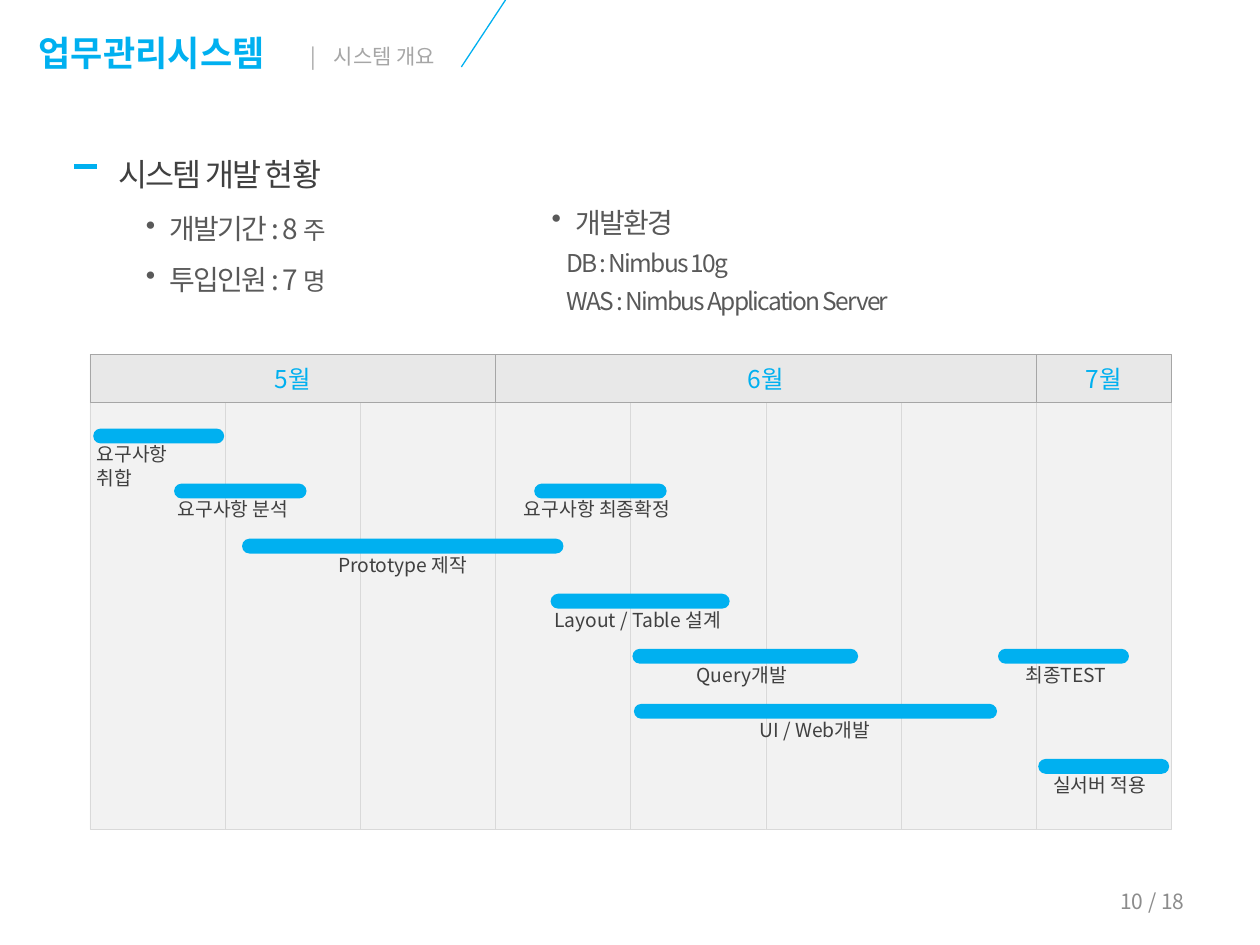
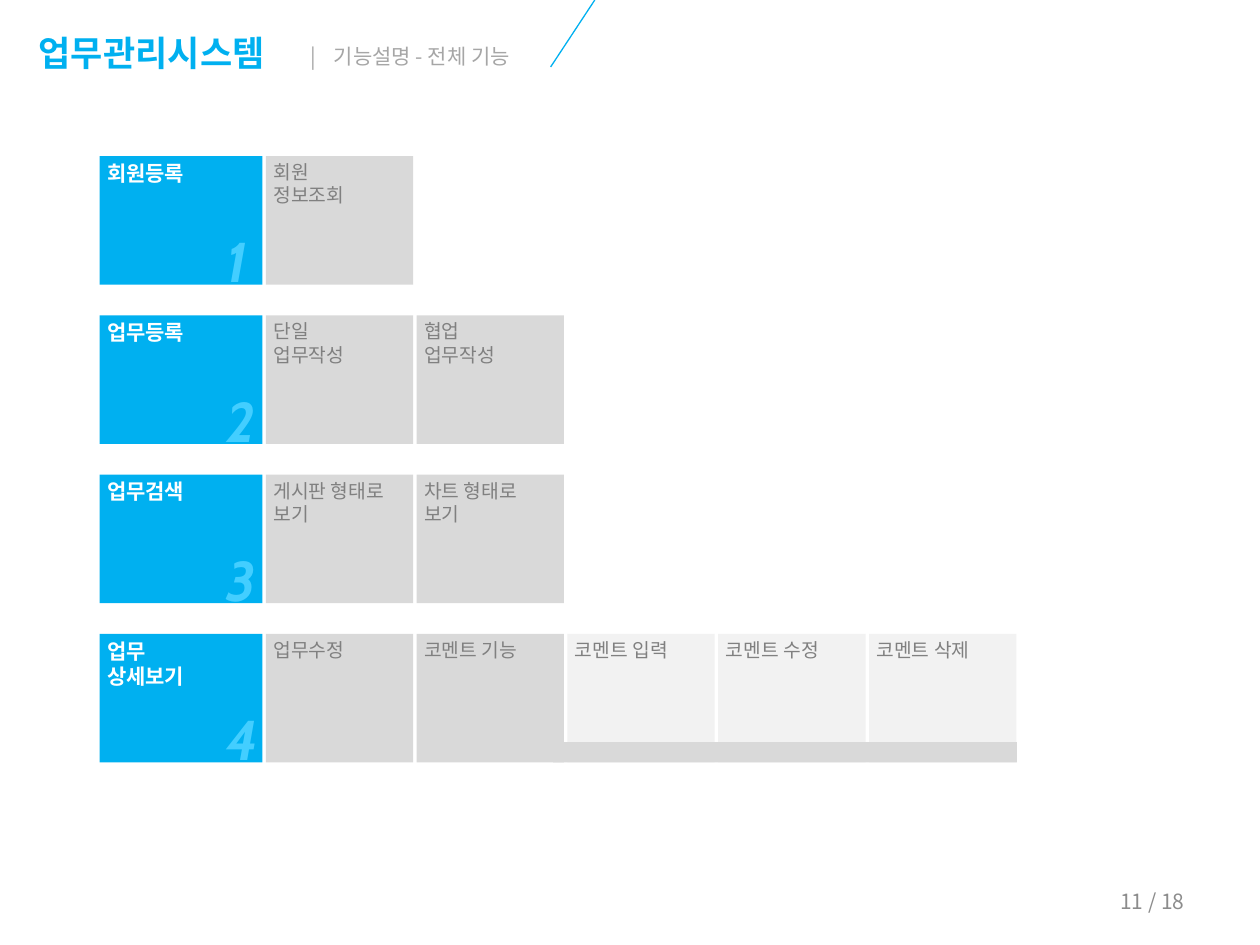
from copy import deepcopy

from lxml.etree import SubElement
from pptx import Presentation
from pptx.dml.color import RGBColor
from pptx.enum.shapes import MSO_CONNECTOR as LineKind, MSO_SHAPE as Kind
from pptx.enum.text import MSO_ANCHOR as Anchor, PP_ALIGN as Align
from pptx.oxml.ns import qn
from pptx.util import Cm, Pt

COLOURS = {
    "accent": "00B0F0", "number": "43CEFF", "white": "FFFFFF",
    "dark": "404040", "body": "595959", "label": "808080",
    "footer": "8C8C8C", "muted": "A6A6A6", "card": "D9D9D9",
    "month": "E8E8E8", "pale": "F2F2F2",
}
SANS, DISPLAY = "Noto Sans CJK KR", "Cabin"
COLOURS = {name: RGBColor.from_string(code) for name, code in COLOURS.items()}


def add_block(page, kind, left, top, width, height, fill, line=None):
    block = page.shapes.add_shape(kind, Cm(left), Cm(top), Cm(width), Cm(height))
    block.shadow.inherit = False
    block.fill.solid()
    block.fill.fore_color.rgb = COLOURS[fill]
    if line:
        block.line.color.rgb = COLOURS[line]
        block.line.width = Pt(0.1)
    else:
        block.line.fill.background()
    return block


def add_text(page, left, top, width, height, text, size, colour, font=SANS,
             bold=False, italic=False, align=Align.LEFT, anchor=Anchor.TOP,
             leading=None, tracking=0):
    box = page.shapes.add_textbox(Cm(left), Cm(top), Cm(width), Cm(height))
    frame = box.text_frame
    frame.word_wrap = True
    frame.vertical_anchor = anchor
    frame.text = text
    for para in frame.paragraphs:
        para.alignment = align
        if leading:
            para.line_spacing = leading
        for span in para.runs:
            span.font.size = Pt(size)
            span.font.name = font
            span.font.bold = bold
            span.font.italic = italic
            span.font.color.rgb = COLOURS[colour]
            props = span._r.get_or_add_rPr()
            SubElement(props, qn("a:ea"), typeface=font)
            if tracking:
                props.set("spc", str(tracking * 100))
    return box


deck = Presentation()
deck.slide_width, deck.slide_height = Cm(25.4), Cm(19.05)

# Header and page number of every page: subtitle, its width, foot of the slash
headers = [("시스템 개요", 3.35, 9.3), ("기능설명 - 전체 기능", 5.11, 11.1)]
pages = []
rules = []
for number, (subtitle, width, slash) in enumerate(headers, start=10):
    page = deck.slides.add_slide(deck.slide_layouts[6])
    pages.append(page)
    rules.append((page, slash + 0.89, 0, slash, 1.35, 0.75))
    add_text(page, 18.21, 17.65, 5.92, 1.02, f"{number} / 18", 12, "footer",
             align=Align.RIGHT, anchor=Anchor.MIDDLE)
    box = add_text(page, 6.02, 0.76, width, 0.76, f"|\t{subtitle}", 12, "muted")
    tabs = SubElement(box.text_frame.paragraphs[0]._p.get_or_add_pPr(), qn("a:tabLst"))
    SubElement(tabs, qn("a:tab"), pos=str(Cm(0.46)), algn="l")
    add_text(page, 0.53, 0.48, 5.77, 1.17, "업무관리시스템", 20, "accent",
             font=DISPLAY, bold=True, anchor=Anchor.MIDDLE)
schedule, functions = pages

# Slashes, and the dash before the section heading
rules.append((schedule, 1.5, 3.35, 1.96, 3.35, 3))
for page, x1, y1, x2, y2, weight in rules:
    rule = page.shapes.add_connector(LineKind.STRAIGHT, Cm(x1), Cm(y1), Cm(x2), Cm(y2))
    rule.line.color.rgb = COLOURS["accent"]
    rule.line.width = Pt(weight)
    SubElement(rule._element.spPr, qn("a:effectLst"))

# Development status
add_text(schedule, 2.13, 2.62, 5.6, 1.27, "시스템 개발 현황", 18, "dark",
         leading=1.5, tracking=-1)
status = add_text(schedule, 2.69, 3.81, 5.38, 2.18, "개발기간 : 8\n투입인원 : 7", 16,
                  "body", leading=1.5, tracking=-1)
for para, unit in zip(status.text_frame.paragraphs, (" 주", " 명")):
    para._p.append(deepcopy(para.runs[0]._r))
    para.runs[1].text = unit
    para.runs[1].font.size = Pt(14)

# Development environment
setting = add_text(schedule, 10.87, 3.81, 11.63, 2.69,
                   "개발환경\nDB : Nimbus 10g\nWAS : Nimbus Application Server",
                   16, "body", leading=1.3, tracking=-1)
topic, *details = setting.text_frame.paragraphs
for para in details:
    para._p.get_or_add_pPr().set("marL", str(Cm(0.3)))
    para.runs[0].font.size = Pt(14)

for para in (*status.text_frame.paragraphs, topic):
    props = para._p.get_or_add_pPr()
    props.set("marL", str(Cm(0.48)))
    props.set("indent", str(Cm(-0.48)))
    SubElement(props, qn("a:buChar"), char="•")

# Schedule grid: eight weeks under three months
grid_left, month_top, month_height, week_height = 1.81, 7.14, 0.97, 8.61
week_width = 21.8 / 8
for week in range(8):
    add_block(schedule, Kind.RECTANGLE, grid_left + week * week_width,
              month_top + month_height, week_width, week_height, "pale", "card")
for month, first_week, weeks in [("5월", 0, 3), ("6월", 3, 4), ("7월", 7, 1)]:
    place = (grid_left + first_week * week_width, month_top,
             weeks * week_width, month_height)
    add_block(schedule, Kind.RECTANGLE, *place, "month", "muted")
    add_text(schedule, *place, month, 14, "accent",
             align=Align.CENTER, anchor=Anchor.MIDDLE)

# Tasks: name, row, bar left and width, label left and width, label alignment
tasks = [
    ("요구사항 취합", 0, 1.88, 2.64, 1.7, 1.98, Align.LEFT),
    ("요구사항 분석", 1, 3.51, 2.67, 3.33, 3.05, Align.LEFT),
    ("요구사항 최종확정", 1, 10.77, 2.67, 10.31, 3.81, Align.LEFT),
    ("Prototype 제작", 2, 4.88, 6.48, 5.87, 4.5, Align.CENTER),
    ("Layout / Table 설계", 3, 11.1, 3.61, 10.92, 4.32, Align.LEFT),
    ("Query개발", 4, 12.75, 4.55, 13.79, 2.5, Align.LEFT),
    ("최종TEST", 4, 20.12, 2.64, 20.42, 2.4, Align.LEFT),
    ("UI / Web개발", 5, 12.78, 7.32, 14.45, 3.96, Align.CENTER),
    ("실서버 적용", 6, 20.93, 2.64, 20.98, 2.67, Align.LEFT),
]
for name, row, bar_left, bar_width, label_left, label_width, align in tasks:
    top = 8.64 + row * 1.11
    bar = add_block(schedule, Kind.ROUNDED_RECTANGLE, bar_left, top, bar_width, 0.3, "accent")
    bar.adjustments[0] = 0.5
    add_text(schedule, label_left, top + 0.16, label_width, 0.74, name, 11, "dark", align=align)

# Function map: a numbered heading, then its cards
function_rows = [
    ("회원등록", ["회원\n정보조회"]),
    ("업무등록", ["단일\n업무작성", "협업\n업무작성"]),
    ("업무검색", ["게시판 형태로\n보기", "차트 형태로\n보기"]),
    ("업무\n상세보기", ["업무수정", "코멘트 기능", "코멘트 입력", "코멘트 수정", "코멘트 삭제"]),
]
card_height = 2.59
for row, (heading, cards) in enumerate(function_rows):
    top = 3.15 + row * 3.21
    add_block(functions, Kind.RECTANGLE, 2.01, top, 3.28, card_height, "accent")
    add_text(functions, 1.91, top - 0.04, 3.1, 1.27, heading, 12, "white", bold=True)
    add_text(functions, 4.32, top + 1.3, 1.17, 1.63, str(row + 1), 32, "number",
             font=DISPLAY, bold=True, italic=True)
    for column, card in enumerate(cards):
        left = 5.36 + column * 3.04
        add_block(functions, Kind.RECTANGLE, left, top, 2.97, card_height,
                  "card" if column < 2 else "pale")
        add_text(functions, left - 0.1, top - 0.04, 3.1, 1.19, card, 11, "label")

# Strip joining the comment cards
add_block(functions, Kind.RECTANGLE, 11.15, 14.96, 9.35, 0.41, "card")

deck.save("out.pptx")
